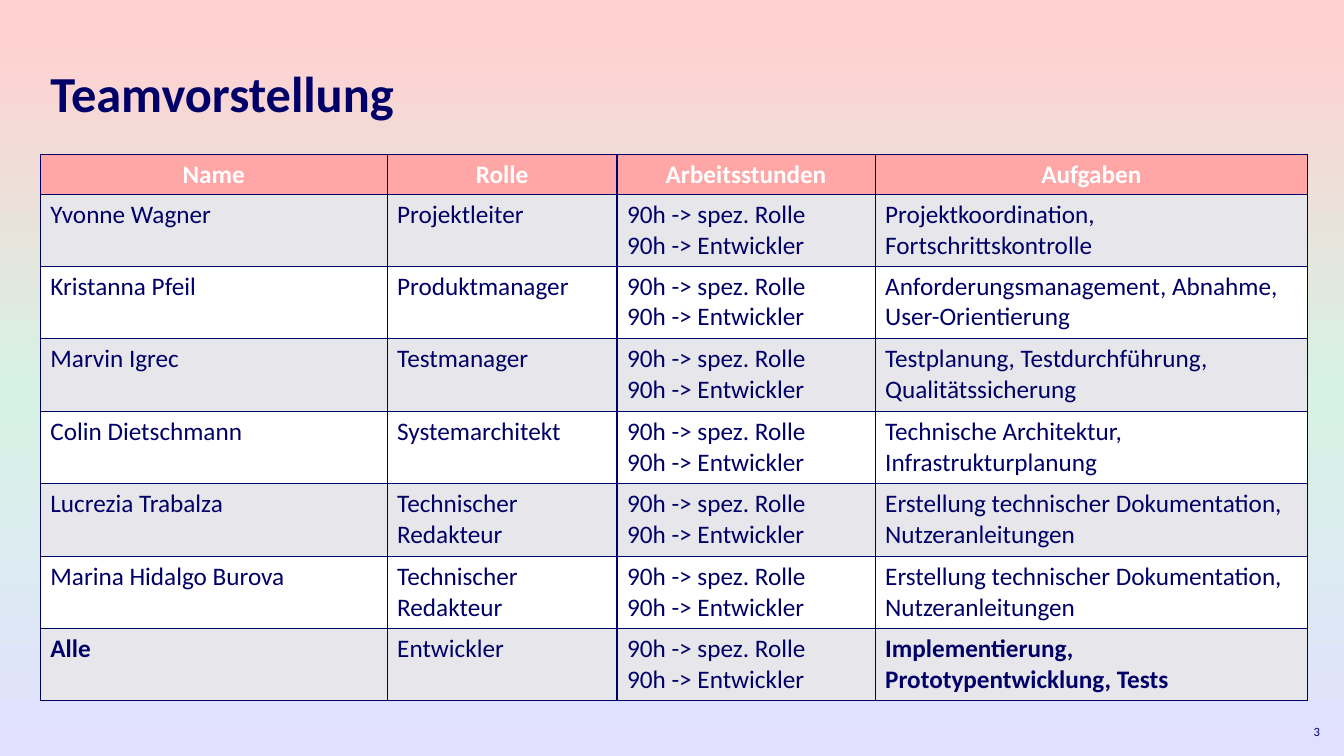
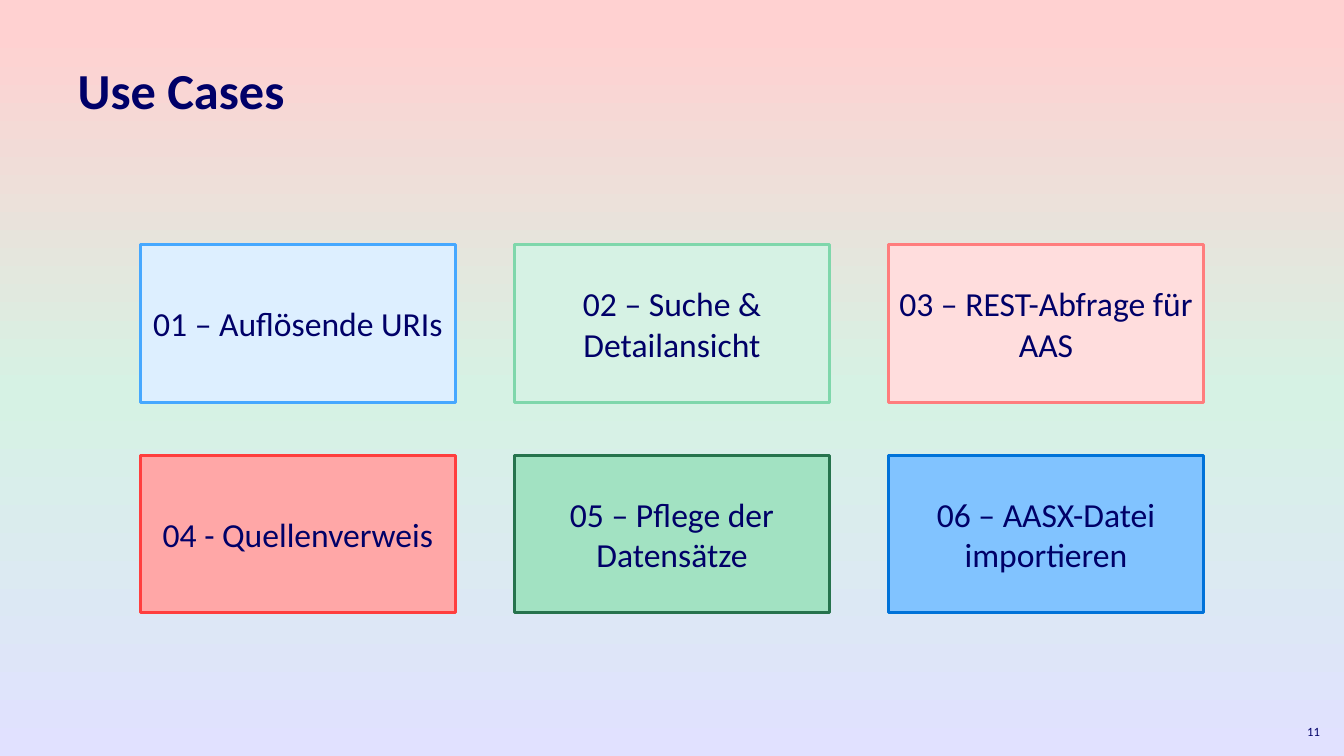
from copy import deepcopy

from lxml import etree
from pptx import Presentation
from pptx.dml.color import RGBColor
from pptx.enum.shapes import MSO_SHAPE
from pptx.enum.text import MSO_ANCHOR, MSO_AUTO_SIZE, PP_ALIGN
from pptx.oxml.ns import qn
from pptx.util import Pt

RECTANGLE = MSO_SHAPE.RECTANGLE
TOP, MIDDLE = MSO_ANCHOR.TOP, MSO_ANCHOR.MIDDLE
LEFT, CENTER, RIGHT = PP_ALIGN.LEFT, PP_ALIGN.CENTER, PP_ALIGN.RIGHT
FIXED = MSO_AUTO_SIZE.NONE

NAVY = RGBColor(0x00, 0x00, 0x68)
WHITE = RGBColor(0xFF, 0xFF, 0xFF)
GREY = RGBColor(0xE7, 0xE7, 0xEB)
ROSE = RGBColor(0xFF, 0xA7, 0xA7)
RED = RGBColor(0xFF, 0x3E, 0x3E)
PALE_RED = RGBColor(0xFF, 0xDD, 0xDD)
CORAL = RGBColor(0xFF, 0x7D, 0x7D)
PALE_BLUE = RGBColor(0xDD, 0xEF, 0xFF)
SKY = RGBColor(0x46, 0xA8, 0xFF)
LIGHT_BLUE = RGBColor(0x81, 0xC3, 0xFF)
BLUE = RGBColor(0x00, 0x72, 0xD9)
MINT = RGBColor(0xD6, 0xF2, 0xE4)
LIGHT_GREEN = RGBColor(0xA2, 0xE2, 0xC2)
GREEN = RGBColor(0x7F, 0xD7, 0xAB)
DARK_GREEN = RGBColor(0x26, 0x73, 0x4D)
BACKDROP = [
    (0.04, RGBColor(0xFF, 0xD1, 0xD1)),
    (0.52, MINT),
    (1.0, RGBColor(0xE1, 0xE1, 0xFF)),
]

FONT = "Calibri"
EMU_PER_PX = 9144
TITLE_ONLY = 5

HOURS = "90h -> spez. Rolle\n90h -> Entwickler"
HEADINGS = ["Name", "Rolle", "Arbeitsstunden", "Aufgaben"]
TEAM = [
    ("Yvonne Wagner", "Projektleiter", "Projektkoordination, Fortschrittskontrolle"),
    ("Kristanna Pfeil", "Produktmanager", "Anforderungsmanagement, Abnahme, User-Orientierung"),
    ("Marvin Igrec", "Testmanager", "Testplanung, Testdurchführung, Qualitätssicherung"),
    ("Colin Dietschmann", "Systemarchitekt", "Technische Architektur, Infrastrukturplanung"),
    ("Lucrezia Trabalza", "Technischer Redakteur", "Erstellung technischer Dokumentation, Nutzeranleitungen"),
    ("Marina Hidalgo Burova", "Technischer Redakteur", "Erstellung technischer Dokumentation, Nutzeranleitungen"),
    ("Alle", "Entwickler", "Implementierung, Prototypentwicklung, Tests"),
]
USE_CASES = [
    ("01 – Auflösende URIs", PALE_BLUE, SKY),
    ("02 – Suche & Detailansicht", MINT, GREEN),
    ("03 – REST-Abfrage für AAS", PALE_RED, CORAL),
    ("04 - Quellenverweis", ROSE, RED),
    ("05 – Pflege der Datensätze", LIGHT_GREEN, DARK_GREEN),
    ("06 – AASX-Datei importieren", LIGHT_BLUE, BLUE),
]


def px(*lengths):
    """Turn pixel lengths into EMU."""
    return [length * EMU_PER_PX for length in lengths]


class SlideBuilder:
    """Holds the shared style and the current slide."""

    def __init__(self):
        """Create the deck with its size and gradient background."""
        self.deck = Presentation()
        self.deck.slide_width, self.deck.slide_height = px(1333, 750)
        self.page = None
        master = self.deck.slide_master
        fill = master.background.fill
        fill.gradient()
        fill.gradient_angle = 270
        stops = master.element.find(".//" + qn("a:gsLst"))
        stops.append(deepcopy(stops[-1]))
        for stop, (position, color) in zip(fill.gradient_stops, BACKDROP):
            stop.position = position
            stop.color.rgb = color

    def set_text(self, frame, text, size, color=NAVY, bold=False, align=LEFT):
        """Fill a text frame, one paragraph for each line."""
        frame.text = text
        frame.word_wrap = True
        for para in frame.paragraphs:
            para.alignment = align
            para.font.name = FONT
            para.font.size = Pt(size)
            para.font.bold = bold
            para.font.color.rgb = color

    def add_page(self, title, left, top, number):
        """Start a slide with its title and page number."""
        self.page = self.deck.slides.add_slide(self.deck.slide_layouts[TITLE_ONLY])
        box = self.page.shapes.title
        box.left, box.top, box.width, box.height = px(left, top, 1165, 124)
        frame = box.text_frame
        self.set_text(frame, title, 36, bold=True)
        frame.auto_size = FIXED
        frame.vertical_anchor = TOP
        frame.paragraphs[0].line_spacing = 0.9
        footer = self.page.shapes.add_textbox(*px(1272, 706, 47, 40)).text_frame
        self.set_text(footer, str(number), 9, align=RIGHT)
        footer.vertical_anchor = MIDDLE

    def add_cell(self, cell, text, fill, **style):
        """Format one bordered and filled table cell."""
        self.set_text(cell.text_frame, text, 18, **style)
        properties = cell._tc.get_or_add_tcPr()
        for side in ("a:lnL", "a:lnR", "a:lnT", "a:lnB"):
            line = etree.SubElement(properties, qn(side), w=str(Pt(1)))
            solid = etree.SubElement(line, qn("a:solidFill"))
            etree.SubElement(solid, qn("a:srgbClr"), val=str(NAVY))
        cell.fill.solid()
        cell.fill.fore_color.rgb = fill

    def add_table(self, left, top, widths, heights, headings, rows):
        """Add a table with a header and alternating row fills."""
        table = self.page.shapes.add_table(
            len(heights), len(widths), *px(left, top, sum(widths), sum(heights))
        ).table
        for column, width in zip(table.columns, px(*widths)):
            column.width = width
        for row, height in zip(table.rows, px(*heights)):
            row.height = height
        for column, heading in enumerate(headings):
            self.add_cell(table.cell(0, column), heading, ROSE,
                          color=WHITE, bold=True, align=CENTER)
        for index, row in enumerate(rows, 1):
            for column, text in enumerate(row):
                is_bold = row[0] == "Alle" and column in (0, 3)
                self.add_cell(table.cell(index, column), text,
                              GREY if index % 2 else WHITE, bold=is_bold)

    def add_card(self, left, top, width, height, text, fill, outline):
        """Add an outlined rectangle with centred text."""
        card = self.page.shapes.add_shape(RECTANGLE, *px(left, top, width, height))
        card.shadow.inherit = False
        card.fill.solid()
        card.fill.fore_color.rgb = fill
        card.line.color.rgb = outline
        card.line.width = Pt(2.25)
        self.set_text(card.text_frame, text, 24, align=CENTER)
        card.text_frame.vertical_anchor = MIDDLE


def main():
    """Build and save the deck."""
    builder = SlideBuilder()
    builder.add_page("Teamvorstellung", 40, 63, 3)
    rows = [(name, role, HOURS, tasks) for name, role, tasks in TEAM]
    builder.add_table(40, 153, [344, 228, 256, 429], [40, 71] + [72] * 5 + [71],
                      HEADINGS, rows)

    builder.add_page("Use Cases", 67, 60, 11)
    for index, (text, fill, outline) in enumerate(USE_CASES):
        row, column = divmod(index, 3)
        builder.add_card(139 + column * 371, 243 + row * 209, 313, 156,
                         text, fill, outline)
    builder.deck.save("out.pptx")


if __name__ == "__main__":
    main()
